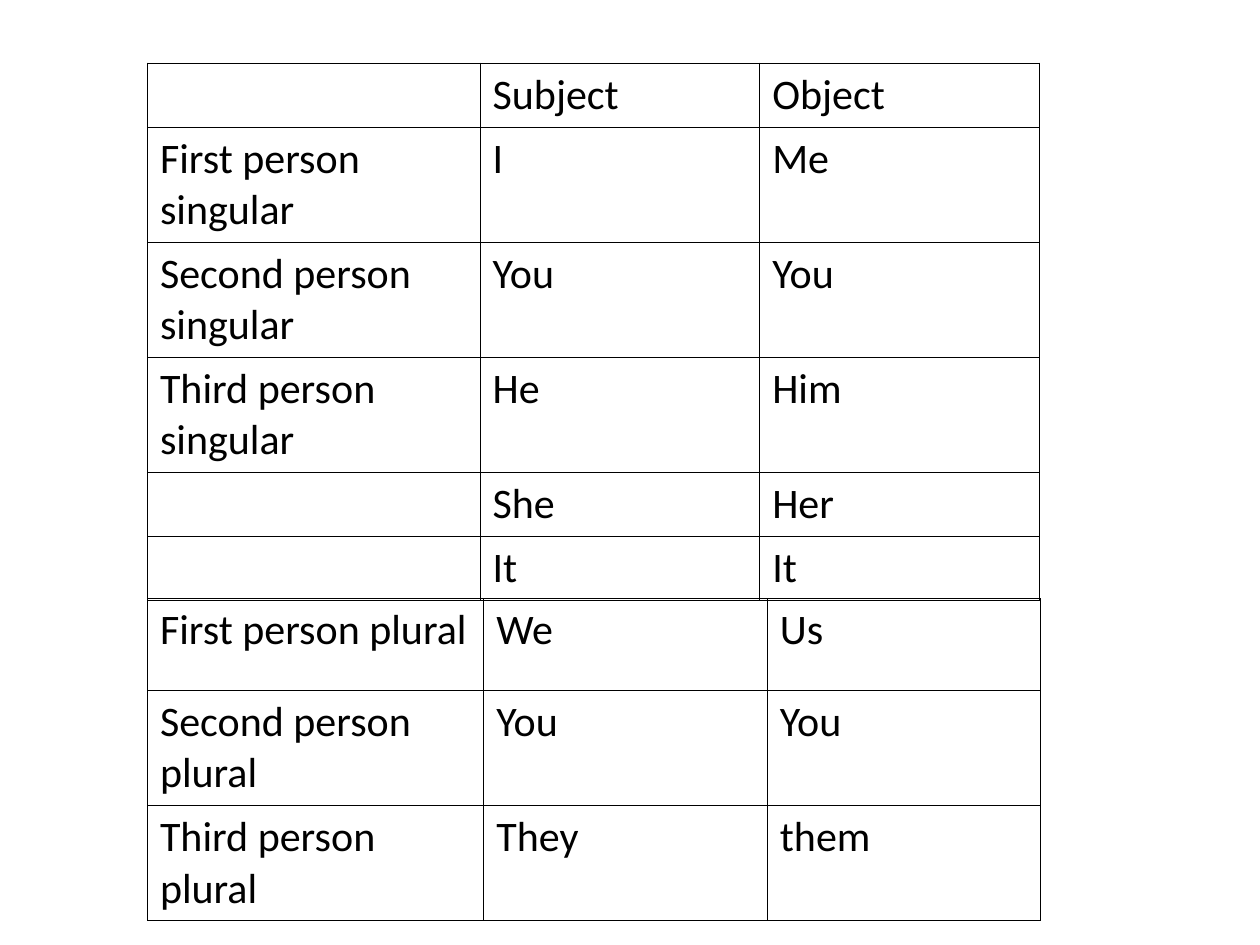
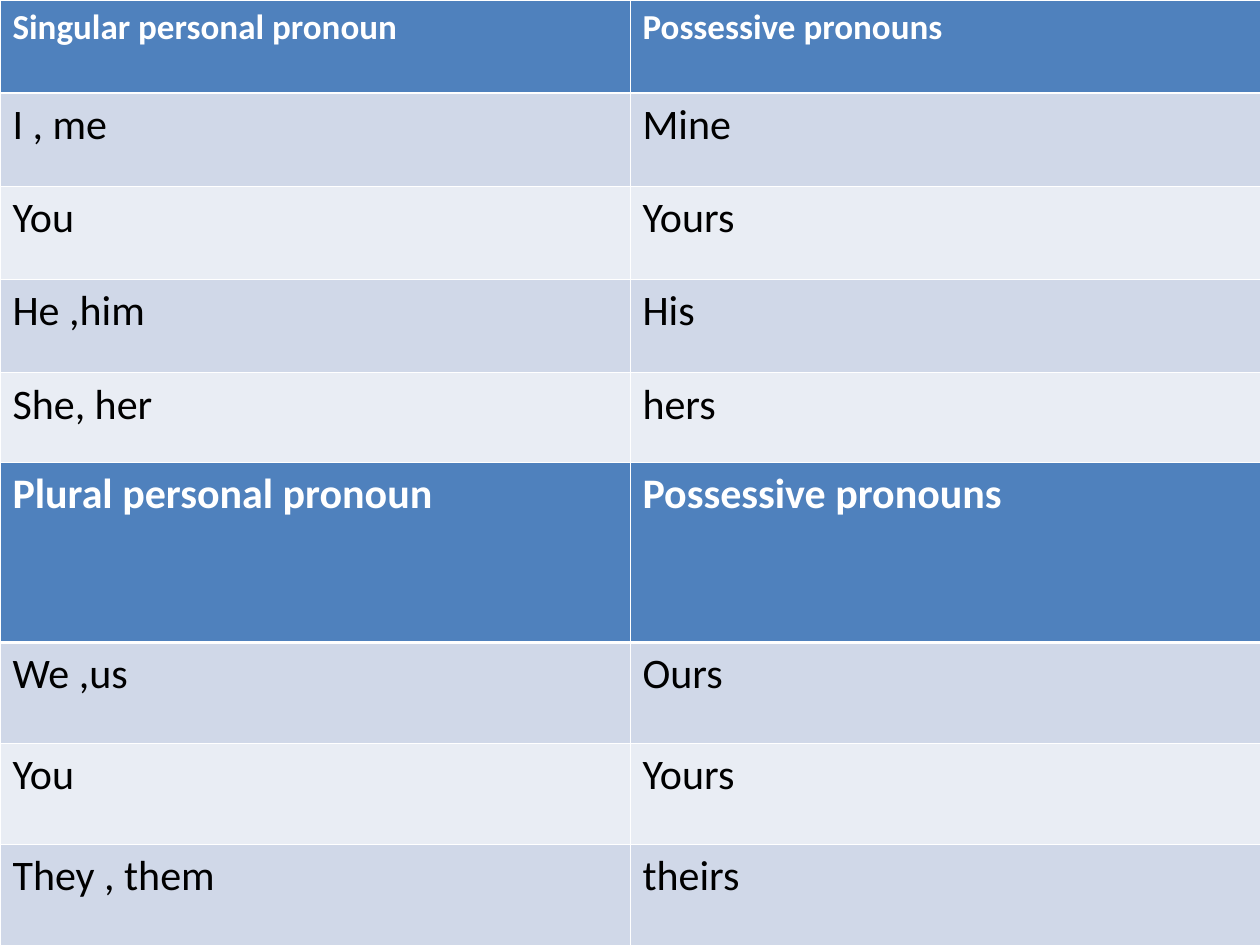
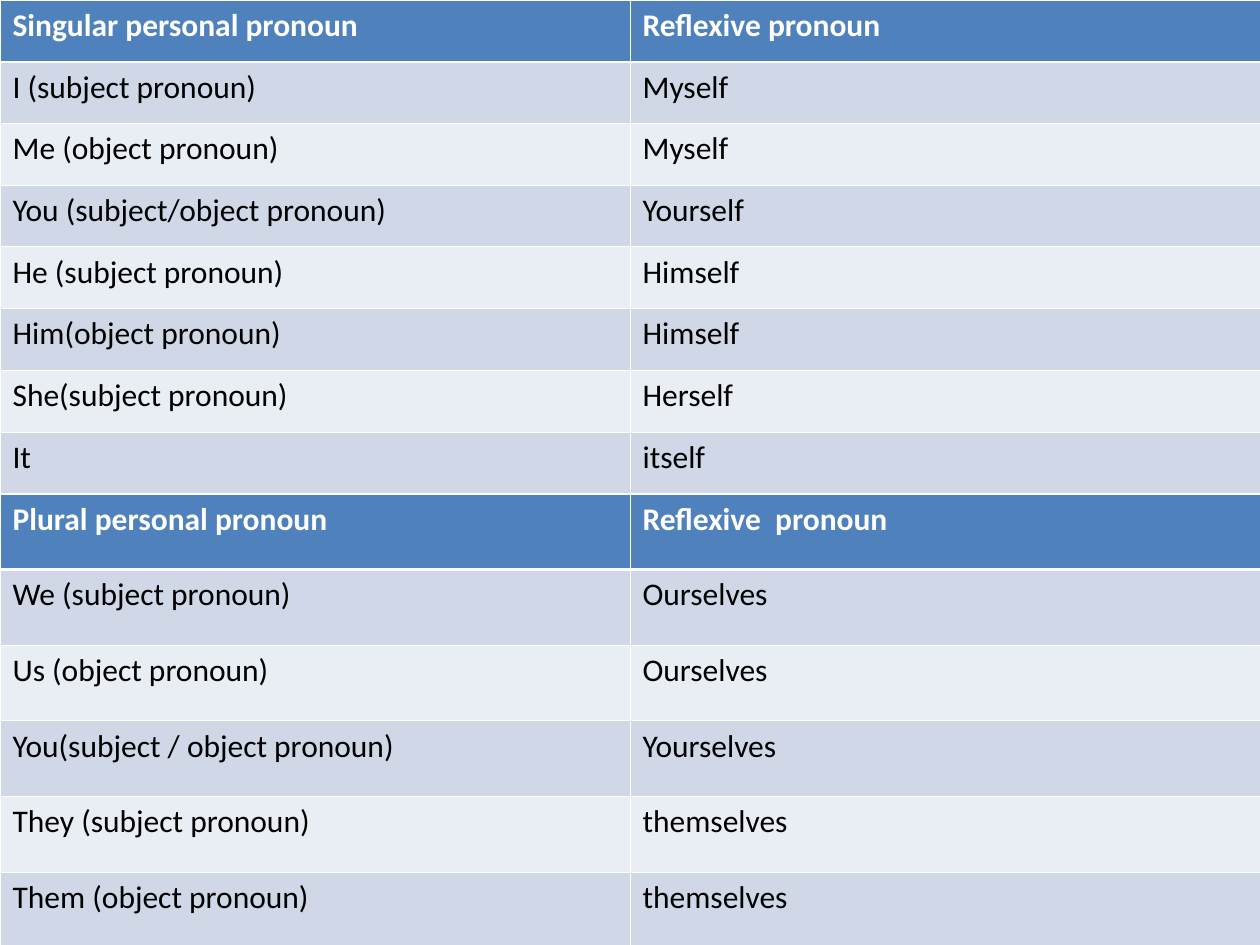
from lxml import etree
from pptx import Presentation
from pptx.dml.color import RGBColor
from pptx.oxml.ns import qn
from pptx.util import Inches, Pt

COLORS = {
    "text": "000000",
    "header_text": "FFFFFF",
    "header": "4F81BD",
    "band_dark": "D0D8E8",
    "band_light": "E9EDF4",
    "grid": "000000",
    "banded_grid": "FFFFFF",
}
FONT = "Calibri"
THIN, THICK = 0.45, 1.47

PRONOUN_SLIDES = [
    [
        dict(left=1.17, top=0.5, widths=[2.64, 2.22, 2.22],
             heights=[0.5, 0.9, 0.9, 0.9, 0.5, 0.5], size=24, banded=False,
             rows=[("", "Subject", "Object"),
                   ("First person singular", "I", "Me"),
                   ("Second person singular", "You", "You"),
                   ("Third person singular", "He", "Him"),
                   ("", "She", "Her"),
                   ("", "It", "It")]),
        dict(left=1.17, top=4.75, widths=[2.67, 2.25, 2.17],
             heights=[0.73, 0.9, 0.9], size=24, banded=False,
             rows=[("First person plural", "We", "Us"),
                   ("Second person plural", "You", "You"),
                   ("Third person plural", "They", "them")]),
    ],
    [
        dict(left=0, top=0, widths=[5, 5], heights=[0.74] * 5,
             size=24, header_size=20, banded=True,
             rows=[("Singular personal pronoun", "Possessive pronouns"),
                   ("I , me", "Mine"),
                   ("You", "Yours"),
                   ("He ,him", "His"),
                   ("She, her", "hers")]),
        dict(left=0, top=3.67, widths=[5, 5], heights=[1.43] + [0.8] * 3,
             size=24, header_size=24, banded=True,
             rows=[("Plural personal pronoun", "Possessive pronouns"),
                   ("We ,us", "Ours"),
                   ("You", "Yours"),
                   ("They , them", "theirs")]),
    ],
    [
        dict(left=0, top=0, widths=[5, 5], heights=[0.49] * 8,
             size=18, header_size=18, banded=True,
             rows=[("Singular personal pronoun", "Reflexive pronoun"),
                   ("I (subject pronoun)", "Myself"),
                   ("Me (object pronoun)", "Myself"),
                   ("You (subject/object pronoun)", "Yourself"),
                   ("He (subject pronoun)", "Himself"),
                   ("Him(object pronoun)", "Himself"),
                   ("She(subject pronoun)", "Herself"),
                   ("It", "itself")]),
        dict(left=0, top=3.92, widths=[5, 5], heights=[0.6] * 6,
             size=18, header_size=18, banded=True,
             rows=[("Plural personal pronoun", "Reflexive  pronoun"),
                   ("We (subject pronoun)", "Ourselves"),
                   ("Us (object pronoun)", "Ourselves"),
                   ("You(subject / object pronoun)", "Yourselves"),
                   ("They (subject pronoun)", "themselves"),
                   ("Them (object pronoun)", "themselves")]),
    ],
]


def set_borders(cell, color, top=THIN, bottom=THIN):
    widths = {"a:lnL": THIN, "a:lnR": THIN, "a:lnT": top, "a:lnB": bottom}
    properties = cell._tc.get_or_add_tcPr()
    for tag, width in widths.items():
        line = etree.SubElement(properties, qn(tag), w=str(Pt(width)))
        fill = etree.SubElement(line, qn("a:solidFill"))
        etree.SubElement(fill, qn("a:srgbClr"), val=color)


def write_cell(cell, text, size=18, color="text", bold=False, fill=None):
    if fill:
        cell.fill.solid()
        cell.fill.fore_color.rgb = RGBColor.from_string(COLORS[fill])
    else:
        cell.fill.background()
    if text:
        cell.text = text
        font = cell.text_frame.paragraphs[0].runs[0].font
        font.name, font.size, font.bold = FONT, Pt(size), bold
        font.color.rgb = RGBColor.from_string(COLORS[color])


prs = Presentation()
prs.slide_width, prs.slide_height = Inches(10), Inches(7.5)
blank_layout = prs.slide_layouts[6]

for pronoun_tables in PRONOUN_SLIDES:
    slide = prs.slides.add_slide(blank_layout)
    for content in pronoun_tables:
        rows, widths, heights = content["rows"], content["widths"], content["heights"]
        banded = content["banded"]
        table = slide.shapes.add_table(
            len(rows), len(widths), Inches(content["left"]), Inches(content["top"]),
            Inches(sum(widths)), Inches(sum(heights))).table
        table.first_row = banded
        table.horz_banding = banded
        for column, width in zip(table.columns, widths):
            column.width = Inches(width)

        for r, row in enumerate(rows):
            table.rows[r].height = Inches(heights[r])
            style = dict(size=content["size"])
            if banded and r == 0:
                style = dict(size=content["header_size"], color="header_text",
                             bold=True, fill="header")
            elif banded:
                style["fill"] = "band_dark" if r % 2 else "band_light"
            for c, text in enumerate(row):
                cell = table.cell(r, c)
                set_borders(cell, COLORS["banded_grid" if banded else "grid"],
                            top=THICK if banded and r == 1 else THIN,
                            bottom=THICK if banded and r == 0 else THIN)
                write_cell(cell, text, **style)

prs.save("out.pptx")
